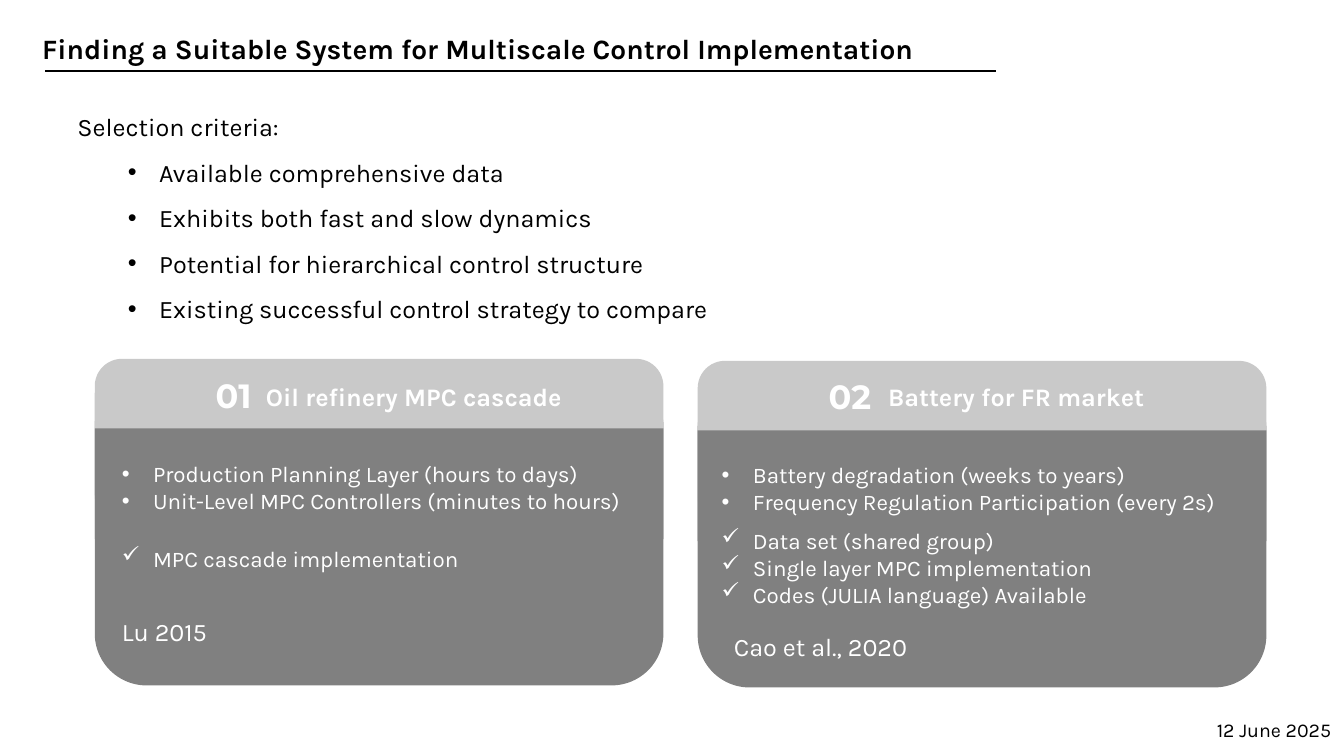
from dataclasses import dataclass

from lxml import etree
from pptx import Presentation
from pptx.dml.color import RGBColor
from pptx.enum import shapes
from pptx.oxml import ns
from pptx.util import Inches, Pt

BLACK = RGBColor(0x00, 0x00, 0x00)
WHITE = RGBColor(0xFF, 0xFF, 0xFF)
LIGHT_GREY = RGBColor(0xC9, 0xC9, 0xC9)
DARK_GREY = RGBColor(0x80, 0x80, 0x80)
CARD_WIDTH = 5.64
HANGING = 0.31


@dataclass
class Candidate:
    """A candidate system; the offsets are measured from its card's corner."""
    number: str
    heading: str
    layers: list
    checks: list
    citation: str
    number_at: tuple
    heading_at: tuple
    layers_at: tuple
    checks_at: tuple
    citation_at: tuple


CANDIDATES = [
    (0.94, 3.56, Candidate(
        "01", "Oil refinery MPC cascade",
        ["Production Planning Layer (hours to days)",
         "Unit-Level MPC Controllers (minutes to hours)"],
        ["MPC cascade implementation"],
        "Lu 2015",
        (1.1, 0.11), (1.6, 0.17), (0.17, 0.96), (0.17, 1.8), (0.17, 2.51))),
    (6.92, 3.58, Candidate(
        "02", "Battery for FR market",
        ["Battery degradation (weeks to years)",
         "Frequency Regulation Participation (every 2s)"],
        ["Data set (shared group)",
         "Single layer MPC implementation",
         "Codes (JULIA language) Available"],
        "Cao et al., 2020",
        (1.2, 0.1), (1.79, 0.15), (0.14, 0.95), (0.14, 1.6), (0.26, 2.63))),
]


def set_bullet(paragraph, mark, indent):
    properties = paragraph._p.get_or_add_pPr()
    properties.set("marL", str(Inches(indent)))
    properties.set("indent", str(Inches(-HANGING)))
    if mark == "•":
        etree.SubElement(properties, ns.qn("a:buFont")).set("typeface", "Arial")
    etree.SubElement(properties, ns.qn("a:buChar")).set("char", mark)


def add_text(slide, lines, left, top, width, height, *, size=18, font="Karla",
             color=BLACK, bold=False, bullet=None, indent=HANGING, spacing=None,
             lead=None):
    """Write lines as paragraphs, after an optional unbulleted lead line."""
    frame = slide.shapes.add_textbox(
        Inches(left), Inches(top), Inches(width), Inches(height)).text_frame
    frame.word_wrap = True
    leads = [lead] if lead else []
    for index, line in enumerate(leads + lines):
        paragraph = frame.add_paragraph() if index else frame.paragraphs[0]
        run = paragraph.add_run()
        run.text = line
        run.font.size = Pt(size)
        run.font.name = font
        run.font.bold = bold
        run.font.color.rgb = color
        if index >= len(leads):
            if spacing:
                paragraph.line_spacing = spacing
            if bullet:
                set_bullet(paragraph, bullet, indent)


def add_panel(slide, kind, left, top, height, color):
    panel = slide.shapes.add_shape(
        kind, Inches(left), Inches(top), Inches(CARD_WIDTH), Inches(height))
    panel.shadow.inherit = False
    panel.fill.solid()
    panel.fill.fore_color.rgb = color
    panel.line.fill.background()


def add_title(slide, left, top):
    add_text(slide,
             ["Finding a Suitable System for Multiscale Control Implementation"],
             left, top, 11.78, 0.44, size=20, bold=True)
    rule_left, rule_top = Inches(left + 0.13), Inches(top + 0.44)
    rule = slide.shapes.add_connector(
        shapes.MSO_CONNECTOR.STRAIGHT, rule_left, rule_top,
        rule_left + Inches(9.43), rule_top)
    rule.line.color.rgb = BLACK
    rule.line.width = Pt(1.5)
    etree.SubElement(rule._element.spPr, ns.qn("a:effectLst"))


def add_criteria(slide, left, top):
    add_text(slide,
             ["Available comprehensive data",
              "Exhibits both fast and slow dynamics",
              "Potential for hierarchical control structure",
              "Existing successful control strategy to compare"],
             left, top, 6.66, 2.83, lead="Selection criteria:",
             bullet="•", indent=0.81, spacing=1.5)


def add_card(slide, left, top, candidate):
    rounded = shapes.MSO_SHAPE.ROUNDED_RECTANGLE
    add_panel(slide, rounded, left, top + 0.15, 3.09, DARK_GREY)
    add_panel(slide, rounded, left, top, 1.62, LIGHT_GREY)
    add_panel(slide, shapes.MSO_SHAPE.RECTANGLE, left, top + 0.69, 1.1, DARK_GREY)

    def place(lines, offset, width, height, **style):
        add_text(slide, lines, left + offset[0], top + offset[1],
                 width, height, color=WHITE, **style)

    place([candidate.number], candidate.number_at, 1.51, 0.5,
          size=24, font="Montserrat", bold=True)
    place([candidate.heading], candidate.heading_at, 3.8, 0.4, bold=True)
    place([candidate.citation], candidate.citation_at, 3.78, 0.4)
    for mark, lines, offset in (("•", candidate.layers, candidate.layers_at),
                                ("✓", candidate.checks, candidate.checks_at)):
        place(lines, offset, 5.45, 0.1 + 0.27 * len(lines), size=16, bullet=mark)


def main():
    deck = Presentation()
    deck.slide_width = Inches(13.33)
    deck.slide_height = Inches(7.5)
    slide = deck.slides.add_slide(deck.slide_layouts[6])
    add_title(slide, 0.32, 0.26)
    add_text(slide, ["12 June 2025"], 11.97, 7.07, 1.36, 0.33, size=14)
    add_criteria(slide, 0.67, 1.06)
    for left, top, candidate in CANDIDATES:
        add_card(slide, left, top, candidate)
    deck.save("out.pptx")


if __name__ == "__main__":
    main()
